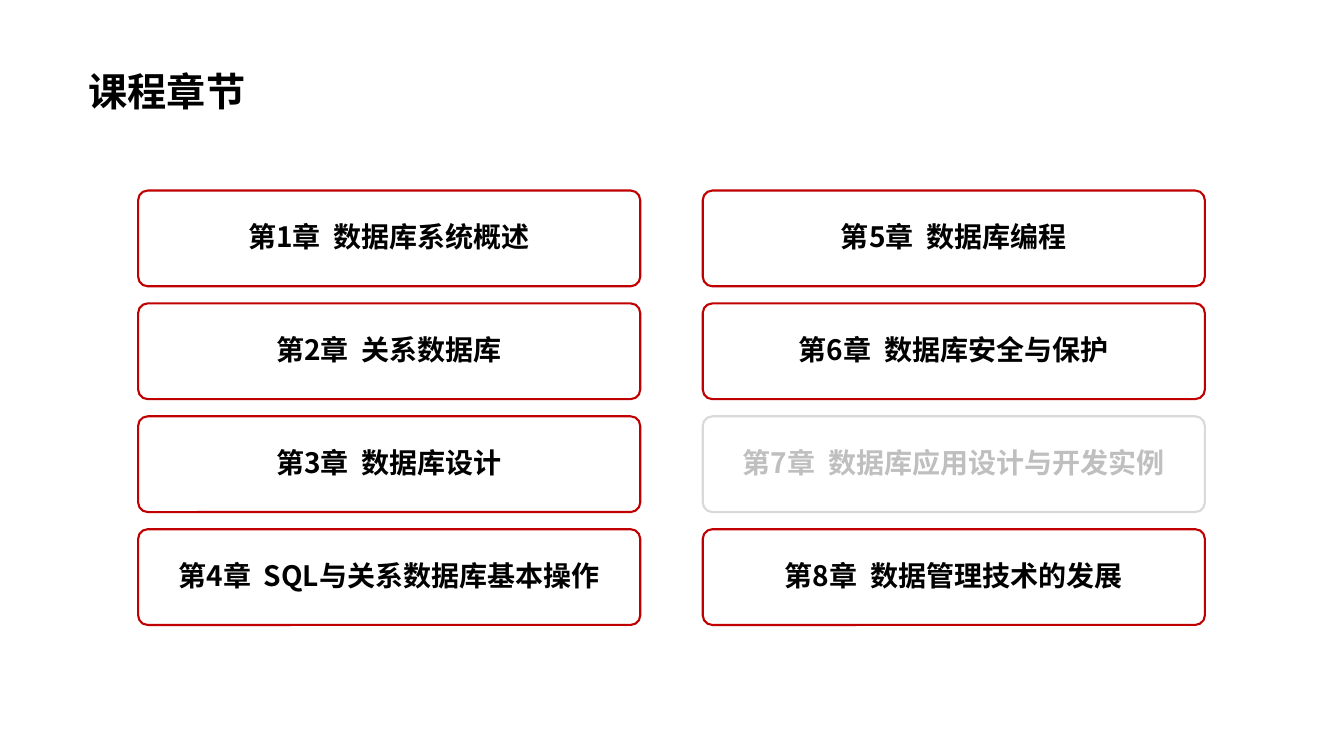
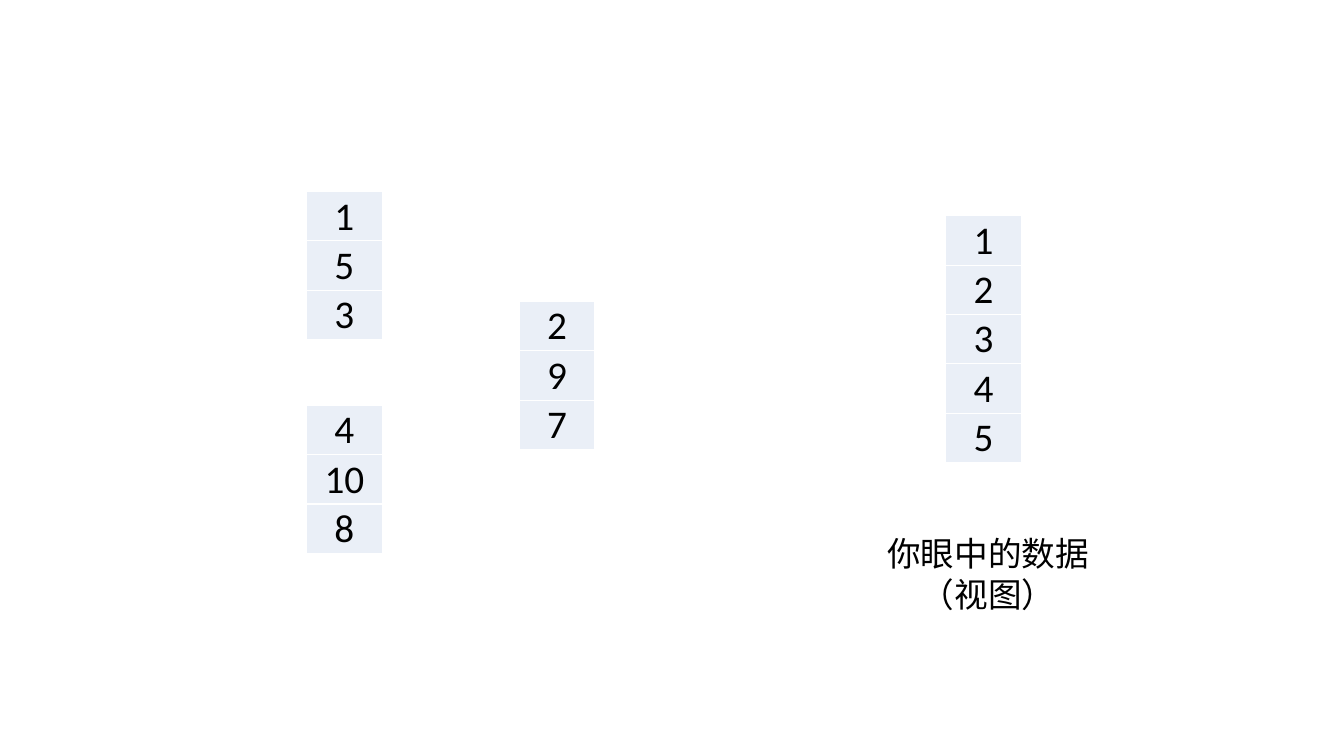
"""Build two course slides: the chapter overview and the data view."""
from lxml import etree
from pptx import Presentation
from pptx.dml.color import RGBColor
from pptx.enum import shapes, text
from pptx.oxml import ns
from pptx.util import Inches, Pt

BLACK = RGBColor(0x00, 0x00, 0x00)
RED = RGBColor(0xC0, 0x00, 0x00)
LIGHT_GRAY = RGBColor(0xD9, 0xD9, 0xD9)
MID_GRAY = RGBColor(0xBF, 0xBF, 0xBF)
PALE_BLUE = RGBColor(0xEA, 0xEF, 0xF7)
WHITE = RGBColor(0xFF, 0xFF, 0xFF)
CJK_FONT = "Noto Sans CJK SC"
NUMBER_FONT = "Calibri"

TITLE = "课程章节"
CHAPTERS = [
    ["第1章  数据库系统概述", "第2章  关系数据库", "第3章  数据库设计",
     "第4章  SQL与关系数据库基本操作"],
    ["第5章  数据库编程", "第6章  数据库安全与保护",
     "第7章  数据库应用设计与开发实例", "第8章  数据管理技术的发展"],
]
SKIPPED = "第7章  数据库应用设计与开发实例"
CARD_LEFT, CARD_TOP = 1.37, 1.89
CARD_WIDTH, CARD_HEIGHT = 4.98, 0.95
COLUMN_STEP, ROW_STEP = 5.6, 1.12

DATA_BLOCKS = [
    (3.04, 1.9, [1, 5, 3]),
    (3.04, 4.02, [4, 10, 8]),
    (5.15, 2.99, [2, 9, 7]),
    (9.38, 2.14, [1, 2, 3, 4, 5]),
]
CELL_WIDTH, CELL_HEIGHT = 0.75, 0.49
VIEW_LABEL = "你眼中的数据\n（视图）"


def write(tf, content, size, align, font=CJK_FONT, color=BLACK, bold=False):
    tf.text = content
    for p in tf.paragraphs:
        p.alignment = align
        for r in p.runs:
            r.font.size = Pt(size)
            r.font.name = font
            r.font.bold = bold
            r.font.color.rgb = color
            ea = etree.SubElement(r.font._element, ns.qn("a:ea"))
            ea.set("typeface", font)


def add_rounded(slide, left, top, width, height, line=None):
    sp = slide.shapes.add_shape(
        shapes.MSO_SHAPE.ROUNDED_RECTANGLE,
        Inches(left), Inches(top), Inches(width), Inches(height))
    sp.shadow.inherit = False
    sp.fill.background()
    if line is None:
        sp.line.fill.background()
    else:
        sp.line.color.rgb = line
        sp.line.width = Pt(1.5)
    sp.text_frame.vertical_anchor = text.MSO_ANCHOR.MIDDLE
    return sp


def add_card(slide, left, top, chapter):
    skipped = chapter == SKIPPED
    sp = add_rounded(slide, left, top, CARD_WIDTH, CARD_HEIGHT,
                     LIGHT_GRAY if skipped else RED)
    sp.adjustments[0] = 0.1
    tf = sp.text_frame
    tf.margin_left = tf.margin_right = Inches(0.03)
    tf.margin_top = tf.margin_bottom = Inches(0.03)
    write(tf, chapter, 20, text.PP_ALIGN.CENTER,
          color=MID_GRAY if skipped else BLACK, bold=True)
    tf.paragraphs[0].line_spacing = 0.9


def add_borders(cell):
    tc_pr = cell._tc.get_or_add_tcPr()
    for side in ("lnL", "lnR", "lnT", "lnB"):
        ln = etree.SubElement(tc_pr, ns.qn(f"a:{side}"), w=str(Pt(1)))
        fill = etree.SubElement(ln, ns.qn("a:solidFill"))
        etree.SubElement(fill, ns.qn("a:srgbClr"), val=str(WHITE))


def add_data_block(slide, left, top, values):
    table = slide.shapes.add_table(
        len(values), 1, Inches(left), Inches(top),
        Inches(CELL_WIDTH), Inches(CELL_HEIGHT * len(values))).table
    table.first_row = table.horz_banding = False
    for row, value in enumerate(values):
        cell = table.cell(row, 0)
        add_borders(cell)
        cell.fill.solid()
        cell.fill.fore_color.rgb = PALE_BLUE
        cell.vertical_anchor = text.MSO_ANCHOR.MIDDLE
        cell.margin_left = cell.margin_right = cell.margin_top = Inches(0.01)
        cell.margin_bottom = 0
        write(cell.text_frame, str(value), 28, text.PP_ALIGN.CENTER, NUMBER_FONT)


def build_chapters(slide):
    title = add_rounded(slide, 0.74, 0.48, 2.43, 0.85)
    write(title.text_frame, TITLE, 28, text.PP_ALIGN.JUSTIFY, bold=True)
    for column, chapters in enumerate(CHAPTERS):
        for row, chapter in enumerate(chapters):
            add_card(slide, CARD_LEFT + column * COLUMN_STEP,
                     CARD_TOP + row * ROW_STEP, chapter)


def build_view(slide):
    for left, top, values in DATA_BLOCKS:
        add_data_block(slide, left, top, values)
    label = slide.shapes.add_textbox(
        Inches(8.69), Inches(5.24), Inches(2.22), Inches(0.91))
    tf = label.text_frame
    tf.word_wrap = False
    tf.auto_size = text.MSO_AUTO_SIZE.SHAPE_TO_FIT_TEXT
    write(tf, VIEW_LABEL, 24, text.PP_ALIGN.CENTER)


def main():
    prs = Presentation()
    prs.slide_width, prs.slide_height = Inches(13.33), Inches(7.5)
    for build in (build_chapters, build_view):
        build(prs.slides.add_slide(prs.slide_layouts[6]))
    prs.save("out.pptx")


if __name__ == "__main__":
    main()
